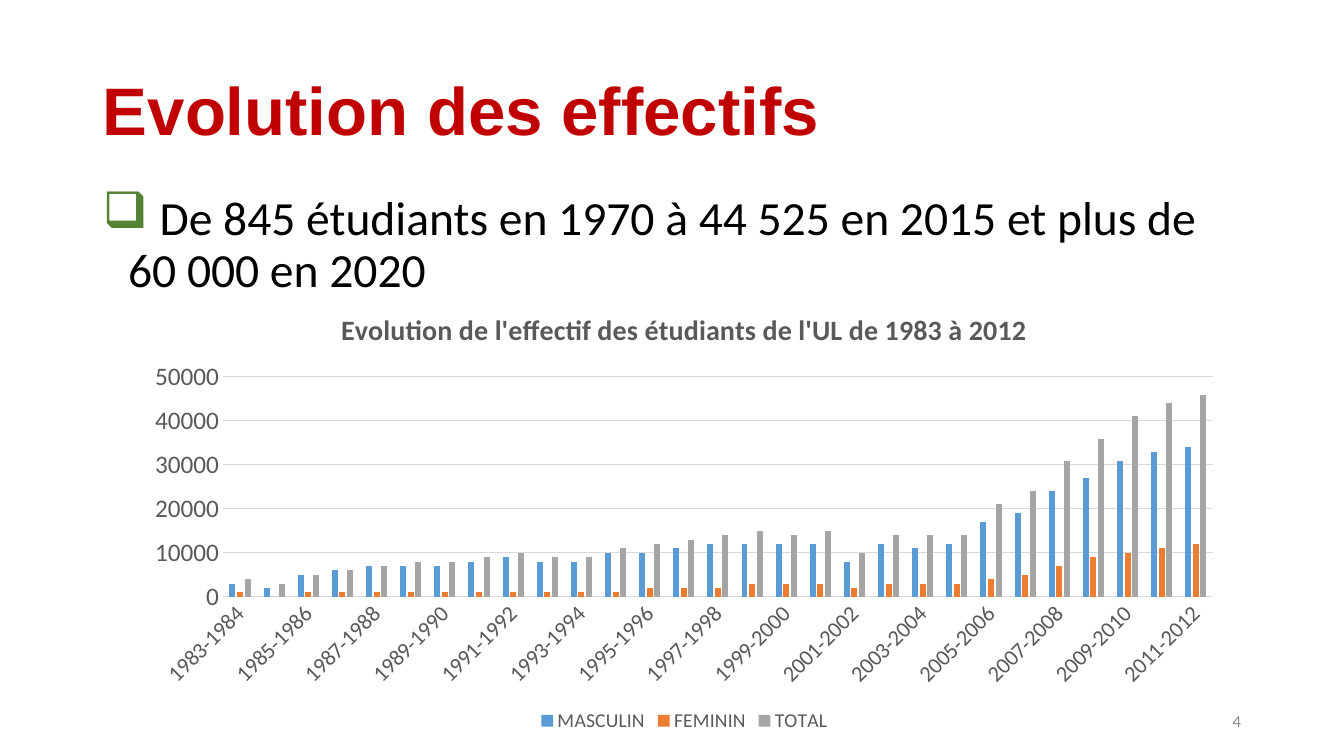
from lxml.etree import SubElement
from pptx import Presentation
from pptx.chart.data import CategoryChartData
from pptx.dml.color import RGBColor
from pptx.enum.chart import XL_CHART_TYPE, XL_LEGEND_POSITION, XL_TICK_MARK
from pptx.enum.text import MSO_ANCHOR, PP_ALIGN
from pptx.oxml import parse_xml
from pptx.oxml.ns import nsdecls, qn
from pptx.util import Emu, Pt

SCALE = 914400 / 100.8  # EMU per px
THEME = {
    "font": "Calibri", "title_font": "Arial",
    "title": "C00000", "text": "000000", "bullet": "548235",
    "muted": "595959", "grid": "D9D9D9", "number": "8C8C8C",
    "series": ["5B9BD5", "ED7D31", "A5A5A5"],
    "title_size": 48, "lead_size": 36, "body_size": 34, "number_size": 12,
    "chart_title_size": 20, "value_size": 18, "category_size": 16, "legend_size": 14,
}


def px(*lengths):
    return [Emu(round(length * SCALE)) for length in lengths]


def style(font, size, color, bold=False, name=THEME["font"]):
    font.name = name
    font.size = Pt(size)
    font.bold = bold
    font.color.rgb = RGBColor.from_string(color)


presentation = Presentation()
presentation.slide_width, presentation.slide_height = px(1344, 756)
slide = presentation.slides.add_slide(presentation.slide_layouts[6])

# Text: box, anchor, alignment, line spacing, runs (text, size, colour, bold, font)
text_blocks = [
    ((93, 41, 1159, 146), MSO_ANCHOR.MIDDLE, PP_ALIGN.LEFT, 0.9,
     [("Evolution des effectifs", THEME["title_size"], THEME["title"], True, THEME["title_font"])]),
    ((93, 187, 1159, 117), MSO_ANCHOR.TOP, PP_ALIGN.LEFT, 0.9,
     [(" ", THEME["lead_size"], THEME["text"], False, THEME["font"]),
      ("De 845 étudiants en 1970 à 44 525 en 2015 et plus de 60 000 en 2020",
       THEME["body_size"], THEME["text"], False, THEME["font"])]),
    ((949, 701, 302, 40), MSO_ANCHOR.MIDDLE, PP_ALIGN.RIGHT, 1.0,
     [("4", THEME["number_size"], THEME["number"], False, THEME["font"])]),
]
paragraphs = []
for box, anchor, alignment, spacing, runs in text_blocks:
    frame = slide.shapes.add_textbox(*px(*box)).text_frame
    frame.word_wrap = True
    frame.vertical_anchor = anchor
    paragraph = frame.paragraphs[0]
    paragraph.alignment = alignment
    paragraph.line_spacing = spacing
    for text, size, color, bold, name in runs:
        run = paragraph.add_run()
        run.text = text
        style(run.font, size, color, bold, name)
    paragraphs.append(paragraph)

# Bullet of the body paragraph: "q" is the shadowed square in Wingdings
body = paragraphs[1]
body.space_before = Pt(12)
properties = body._p.get_or_add_pPr()
properties.set("marL", "228600")
properties.set("indent", "-228600")
bullet_color = SubElement(properties, qn("a:buClr"))
SubElement(bullet_color, qn("a:srgbClr"), val=THEME["bullet"])
SubElement(properties, qn("a:buFont"), typeface="Wingdings", pitchFamily="2", charset="2")
SubElement(properties, qn("a:buChar"), char="q")

# Enrolment by academic year, in thousands of students
enrolment = {
    "MASCULIN": [3, 2, 5, 6, 7, 7, 7, 8, 9, 8, 8, 10, 10, 11, 12, 12, 12, 12, 8,
                 12, 11, 12, 17, 19, 24, 27, 31, 33, 34],
    "FEMININ": [1, 0, 1, 1, 1, 1, 1, 1, 1, 1, 1, 1, 2, 2, 2, 3, 3, 3, 2,
                3, 3, 3, 4, 5, 7, 9, 10, 11, 12],
    "TOTAL": [4, 3, 5, 6, 7, 8, 8, 9, 10, 9, 9, 11, 12, 13, 14, 15, 14, 15, 10,
              14, 14, 14, 21, 24, 31, 36, 41, 44, 46],
}
chart_data = CategoryChartData()
chart_data.categories = [f"{year}-{year + 1}" for year in range(1983, 2012)]
for name, thousands in enrolment.items():
    chart_data.add_series(name, [value * 1000 for value in thousands])
chart = slide.shapes.add_chart(
    XL_CHART_TYPE.COLUMN_CLUSTERED, *px(133, 293, 1103, 444), chart_data).chart
style(chart.font, 10, THEME["text"])

chart.has_title = True
title_run = chart.chart_title.text_frame.paragraphs[0].add_run()
title_run.text = "Evolution de l'effectif des étudiants de l'UL de 1983 à 2012"
style(title_run.font, THEME["chart_title_size"], THEME["muted"], True)
chart.chart_title.include_in_layout = False

chart.has_legend = True
chart.legend.position = XL_LEGEND_POSITION.BOTTOM
chart.legend.include_in_layout = False
style(chart.legend.font, THEME["legend_size"], THEME["muted"])

plot = chart.plots[0]
plot.vary_by_categories = False
plot.gap_width = 219
plot.overlap = -27
for series, color in zip(plot.series, THEME["series"]):
    series.format.fill.solid()
    series.format.fill.fore_color.rgb = RGBColor.from_string(color)

category_axis, value_axis = chart.category_axis, chart.value_axis
for axis, size in ((category_axis, THEME["category_size"]), (value_axis, THEME["value_size"])):
    axis.major_tick_mark = axis.minor_tick_mark = XL_TICK_MARK.NONE
    style(axis.tick_labels.font, size, THEME["muted"])
category_axis._element.find(qn("c:txPr")).find(qn("a:bodyPr")).set("rot", "-2700000")
value_axis.minimum_scale, value_axis.maximum_scale, value_axis.major_unit = 0, 50000, 10000
value_axis.format.line.fill.background()
for line in (category_axis.format.line, value_axis.major_gridlines.format.line):
    line.width = Pt(0.75)
    line.color.rgb = RGBColor.from_string(THEME["grid"])

# Fixed places of the chart title and the plot area, in px inside the 1103 by 444 chart
title_element = chart.chart_title._element
plot_area = chart._chartSpace.chart.plotArea
chart_span = {"x": 1103, "y": 444, "w": 1103, "h": 444}
for parent, index, target, place in (
        (title_element, 1, "", {"x": 203, "y": 12}),
        (plot_area, 0, '<c:layoutTarget val="inner"/>',
         {"x": 90, "y": 84, "w": 990, "h": 220})):
    for layout in parent.findall(qn("c:layout")):
        parent.remove(layout)
    modes = "".join(f'<c:{key}Mode val="edge"/>' for key in "xy")
    shares = "".join(f'<c:{key} val="{length / chart_span[key]}"/>'
                     for key, length in place.items())
    parent.insert(index, parse_xml(
        f'<c:layout {nsdecls("c")}><c:manualLayout>{target}{modes}{shares}'
        '</c:manualLayout></c:layout>'))

presentation.save("out.pptx")
